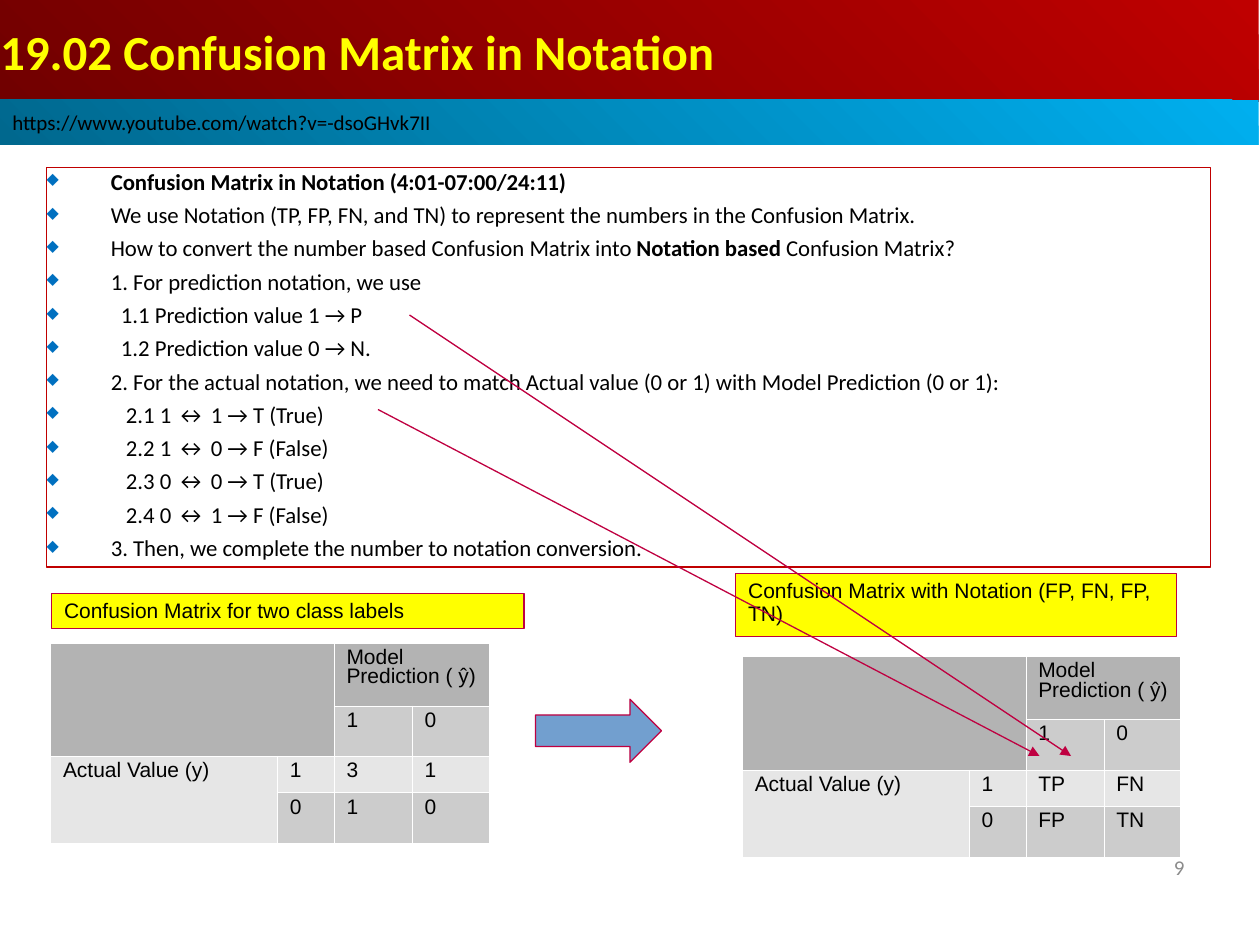
from lxml import etree
from pptx import Presentation
from pptx.dml.color import RGBColor
from pptx.enum.shapes import MSO_CONNECTOR as CONN, MSO_SHAPE as SHAPE
from pptx.enum.text import MSO_ANCHOR as ANCHOR, PP_ALIGN as ALIGN
from pptx.oxml.ns import qn
from pptx.util import Inches, Pt

COLORS = {
    "black": "000000", "white": "FFFFFF", "yellow": "FFFF00",
    "red": "BF0000", "dark_red": "710000", "frame": "C00000",
    "blue": "00AFEF", "dark_blue": "00688E", "bullet": "0070C0",
    "crimson": "BF0041", "arrow": "729FCF", "number": "8B8B8B",
    "header": "B3B3B3", "odd": "CCCCCC", "even": "E6E6E6",
}


def rgb(name):
    return RGBColor.from_string(COLORS[name])


def add_xml(parent, tag, **attrs):
    return etree.SubElement(parent, qn(tag), attrs)


def add_text(p, text, font="Arial", size=12, color="black", bold=False):
    r = p.add_run()
    r.text = text
    r.font.name, r.font.size, r.font.bold = font, Pt(size), bold
    r.font.color.rgb = rgb(color)


class Deck:
    line_width = Pt(0.75)
    columns = (1.8, 0.45, 0.62, 0.61)
    rows = (0.5, 0.4, 0.29, 0.4)

    def __init__(self, width, height):
        self.prs = Presentation()
        self.prs.slide_width, self.prs.slide_height = Inches(width), Inches(height)
        self.slide = self.prs.slides.add_slide(self.prs.slide_layouts[5])

    def frame(self, sp, anchor=ANCHOR.TOP, inset=(0.1, 0.05)):
        tf = sp.text_frame
        tf.word_wrap, tf.vertical_anchor = True, anchor
        tf.margin_left = tf.margin_right = Inches(inset[0])
        tf.margin_top = tf.margin_bottom = Inches(inset[1])
        p = tf.paragraphs[0]
        p.alignment = ALIGN.LEFT
        return p

    def gradient(self, sp, start, end):
        sp.fill.gradient()
        sp.fill.gradient_angle = 225
        for stop, color in zip(sp.fill.gradient_stops, (start, end)):
            stop.color.rgb = rgb(color)

    def title(self, text, x, y, w, h):
        sp = self.slide.shapes.title
        sp.left, sp.top, sp.width, sp.height = map(Inches, (x, y, w, h))
        self.gradient(sp, "red", "dark_red")
        p = self.frame(sp, ANCHOR.MIDDLE, (0, 0))
        add_text(p, text, font="Calibri", size=28, color="yellow", bold=True)

    def shape(self, x, y, w, h, fill=None, line=None, kind=SHAPE.RECTANGLE):
        sp = self.slide.shapes.add_shape(kind, *map(Inches, (x, y, w, h)))
        sp.shadow.inherit = False
        if fill:
            sp.fill.solid()
            sp.fill.fore_color.rgb = rgb(fill)
        else:
            sp.fill.background()
        if line:
            sp.line.color.rgb = rgb(line)
            sp.line.width = self.line_width
        else:
            sp.line.fill.background()
        return sp

    def bar(self, text, x, y, w, h):
        sp = self.shape(x, y, w, h)
        self.gradient(sp, "blue", "dark_blue")
        add_text(self.frame(sp, ANCHOR.MIDDLE), text, font="Calibri")

    def bullets(self, items, x, y, w, h):
        sp = self.shape(x, y, w, h, line="frame")
        first = self.frame(sp, inset=(0, 0))
        for i, (indent, runs) in enumerate(items):
            p = sp.text_frame.add_paragraph() if i else first
            p.alignment, p.space_after = ALIGN.LEFT, Pt(0.4)
            p.space_before = Pt(3 if i else 0)
            margin = Inches(0.51 + indent)
            pPr = p._p.get_or_add_pPr()
            pPr.set("marL", str(margin))
            pPr.set("indent", str(-margin))
            add_xml(add_xml(pPr, "a:buClr"), "a:srgbClr", val=COLORS["bullet"])
            add_xml(pPr, "a:buSzPct", val="70000")
            add_xml(pPr, "a:buChar", char="◆")
            for text, bold in runs:
                add_text(p, text, font="Calibri", size=13, bold=bold)

    def label(self, text, x, y, w, h):
        p = self.frame(self.shape(x, y, w, h, fill="yellow", line="crimson"))
        p.line_spacing = 0.93
        add_text(p, text)

    def number(self, text, x, y, w, h):
        sp = self.slide.shapes.add_textbox(*map(Inches, (x, y, w, h)))
        p = self.frame(sp, ANCHOR.MIDDLE)
        p.alignment = ALIGN.RIGHT
        add_text(p, text, font="Calibri", color="number")

    def cell(self, cell, text, fill):
        tcPr = cell._tc.get_or_add_tcPr()
        for side in ("a:lnL", "a:lnR", "a:lnT", "a:lnB"):
            ln = add_xml(tcPr, side, w=str(Pt(0.06)))
            add_xml(add_xml(ln, "a:solidFill"), "a:srgbClr", val=COLORS["white"])
        cell.fill.solid()
        cell.fill.fore_color.rgb = rgb(fill)
        cell.margin_left = cell.margin_right = Inches(0.1)
        cell.margin_top = cell.margin_bottom = Inches(0.05)
        if text:
            p = cell.text_frame.paragraphs[0]
            p.line_spacing = 0.81
            add_text(p, text)

    def matrix(self, values, x, y):
        texts = (("", "", "Model Prediction ( ŷ)", ""),
                 ("", "", "1", "0"),
                 ("Actual Value (y)", "1", *values[0]),
                 ("", "0", *values[1]))
        fills = ("header", "odd", "even", "odd")
        size = (sum(self.columns), sum(self.rows))
        table = self.slide.shapes.add_table(4, 4, *map(Inches, (x, y, *size))).table
        table.first_row = table.horz_banding = False
        for column, width in zip(table.columns, self.columns):
            column.width = Inches(width)
        for row, height, line, fill in zip(table.rows, self.rows, texts, fills):
            row.height = Inches(height)
            for cell, text in zip(row.cells, line):
                self.cell(cell, text, fill)
        for start, end in (((0, 0), (1, 1)), ((0, 2), (0, 3)), ((2, 0), (3, 0))):
            table.cell(*start).merge(table.cell(*end))

    def arrow(self, x1, y1, x2, y2):
        line = self.slide.shapes.add_connector(
            CONN.STRAIGHT, *map(Inches, (x1, y1, x2, y2)))
        line.line.color.rgb = rgb("crimson")
        line.line.width = self.line_width
        add_xml(line.line._get_or_add_ln(), "a:tailEnd", type="triangle")
        add_xml(line._element.spPr, "a:effectLst")


def plain(text, indent=0):
    return indent, [(text, False)]


def main():
    deck = Deck(10, 7.5)
    deck.title("19.02 Confusion Matrix in Notation", 0, 0, 9.99, 0.81)
    deck.bullets([
        (0, [("Confusion Matrix in Notation (4:01-07:00/24:11)", True)]),
        plain("We use Notation (TP, FP, FN, and TN) to represent the numbers "
              "in the Confusion Matrix."),
        (0, [("How to convert the number based Confusion Matrix into ", False),
             ("Notation based", True), (" Confusion Matrix?", False)]),
        plain("1. For prediction notation, we use"),
        plain("1.1 Prediction value 1 → P", 0.08),
        plain("1.2 Prediction value 0 → N.", 0.08),
        plain("2. For the actual notation, we need to match Actual value "
              "(0 or 1) with Model Prediction (0 or 1):"),
        plain("2.1 1 ↔ 1 → T (True)", 0.12),
        plain("2.2 1 ↔ 0 → F (False)", 0.12),
        plain("2.3 0 ↔ 0 → T (True)", 0.12),
        plain("2.4 0 ↔ 1 → F (False)", 0.12),
        plain("3. Then, we complete the number to notation conversion."),
    ], 0.37, 1.33, 9.24, 3.17)
    deck.bar("https://www.youtube.com/watch?v=-dsoGHvk7II", 0, 0.79, 9.99, 0.36)
    deck.number("9", 7.2, 6.7, 2.3, 0.37)
    deck.matrix((("3", "1"), ("1", "0")), 0.4, 5.1)
    deck.shape(4.25, 5.55, 1, 0.5, "arrow", "crimson", SHAPE.RIGHT_ARROW)
    deck.label("Confusion Matrix for two class labels", 0.41, 4.71, 3.75, 0.28)
    deck.label("Confusion Matrix with Notation (FP, FN, FP, TN)",
               5.84, 4.55, 3.5, 0.5)
    deck.matrix((("TP", "FN"), ("FP", "TN")), 5.89, 5.21)
    deck.arrow(3.25, 2.5, 8.5, 6)
    deck.arrow(3, 3.25, 8.25, 6)
    deck.prs.save("out.pptx")


if __name__ == "__main__":
    main()
